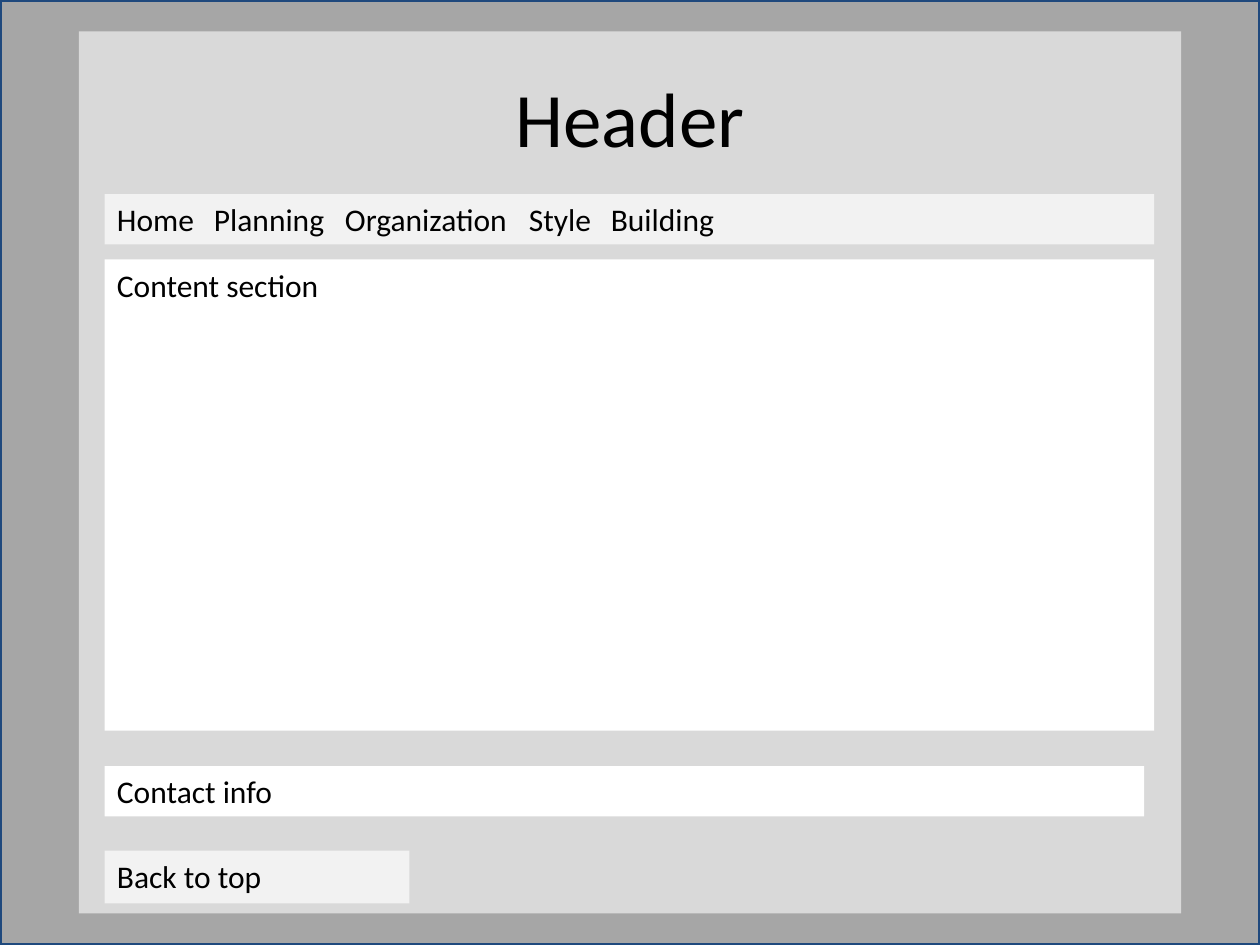
import pptx
import pptx.util
import pptx.dml.color
import pptx.enum.shapes
import pptx.enum.text
import pptx.oxml.ns
import lxml.etree

Inches, Pt = pptx.util.Inches, pptx.util.Pt
RGBColor = pptx.dml.color.RGBColor
MSO_ANCHOR, PP_ALIGN = pptx.enum.text.MSO_ANCHOR, pptx.enum.text.PP_ALIGN

BLACK = RGBColor(0x00, 0x00, 0x00)
WHITE = RGBColor(0xFF, 0xFF, 0xFF)
PALE_GREY = RGBColor(0xF2, 0xF2, 0xF2)
LIGHT_GREY = RGBColor(0xD9, 0xD9, 0xD9)
MID_GREY = RGBColor(0xA6, 0xA6, 0xA6)
NAVY = RGBColor(0x1F, 0x49, 0x7D)

# Content
HEADER = "Header"
MENU = ["Home", "Planning", "Organization", "Style", "Building"]
MENU_STOPS = [0.77, 1.81, 3.27, 3.92]  # inches from the text edge
LEFT = 0.83
SECTIONS = [  # text, top, width, height, fill
    ("\t".join(MENU), 1.54, 8.33, 0.4, PALE_GREY),
    ("Content section", 2.06, 8.33, 3.74, WHITE),
    ("Contact info", 6.08, 8.25, 0.4, WHITE),
    ("Back to top", 6.75, 2.42, 0.42, PALE_GREY),
]


def set_all(target, values):
    for name, value in values.items():
        setattr(target, name, value)


def add_box(page, left, top, width, height, fill):
    box = page.shapes.add_shape(
        pptx.enum.shapes.MSO_SHAPE.RECTANGLE,
        Inches(left), Inches(top), Inches(width), Inches(height))
    box.shadow.inherit = False
    box.fill.solid()
    box.fill.fore_color.rgb = fill
    box.line.fill.background()
    return box


def write(box, text, size, align, anchor):
    set_all(box.text_frame, {"word_wrap": True, "vertical_anchor": anchor})
    para = box.text_frame.paragraphs[0]
    para.alignment = align
    span = para.add_run()
    span.text = text
    set_all(span.font, {"name": "Calibri", "size": Pt(size)})
    span.font.color.rgb = BLACK
    return para


def add_tab_stops(para, stops):
    qn = pptx.oxml.ns.qn
    tab_list = lxml.etree.SubElement(para._p.get_or_add_pPr(), qn("a:tabLst"))
    for stop in stops:
        lxml.etree.SubElement(tab_list, qn("a:tab"), pos=str(Inches(stop)), algn="l")


def main():
    deck = pptx.Presentation()
    set_all(deck, {"slide_width": Inches(10), "slide_height": Inches(7.5)})
    page = deck.slides.add_slide(deck.slide_layouts[5])

    # Backdrop and page panel
    backdrop = add_box(page, 0, 0, 10, 7.5, MID_GREY)
    backdrop.line.color.rgb = NAVY
    backdrop.line.width = Pt(2)
    add_box(page, 0.625, 0.25, 8.75, 7, LIGHT_GREY)

    # Title, brought in front of the panel
    title = page.shapes.title
    set_all(title, {"left": Inches(0.5), "top": Inches(0.3),
                    "width": Inches(9), "height": Inches(1.25)})
    write(title, HEADER, 44, PP_ALIGN.CENTER, MSO_ANCHOR.MIDDLE)
    page.shapes._spTree.append(title._element)

    # Page sections
    for text, top, width, height, fill in SECTIONS:
        box = add_box(page, LEFT, top, width, height, fill)
        para = write(box, text, 18, PP_ALIGN.LEFT, MSO_ANCHOR.TOP)
        box.text_frame.auto_size = pptx.enum.text.MSO_AUTO_SIZE.SHAPE_TO_FIT_TEXT \
            if height < 1 else pptx.enum.text.MSO_AUTO_SIZE.NONE
        if "\t" in text:
            add_tab_stops(para, MENU_STOPS)

    deck.save("out.pptx")


if __name__ == "__main__":
    main()
